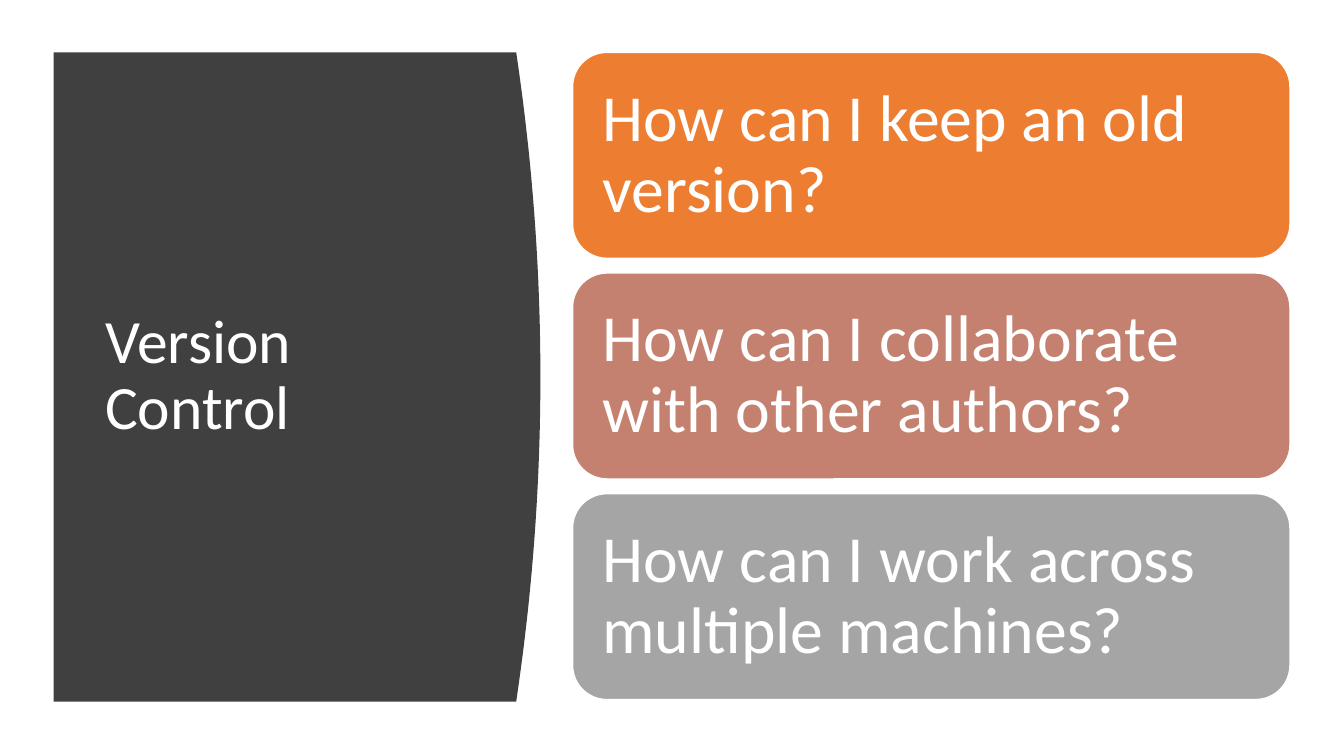
from pptx import Presentation
from pptx.dml.color import RGBColor
from pptx.enum.shapes import MSO_SHAPE
from pptx.enum.text import MSO_ANCHOR, PP_ALIGN
from pptx.util import Cm, Pt

HUES = {
    "panel": "404040",
    "white": "FFFFFF",
    "orange": "ED7D31",
    "rose": "C48170",
    "gray": "A5A5A5",
}

CARDS = [
    ("How can I keep an old version?", "orange"),
    ("How can I collaborate with other authors?", "rose"),
    ("How can I work across multiple machines?", "gray"),
]


def color(name):
    return RGBColor.from_string(HUES[name])


def write(shape, text, size=44, hue="white", inset=0.25, vert=0.13, after=0):
    frame = shape.text_frame
    frame.word_wrap = True
    frame.vertical_anchor = MSO_ANCHOR.MIDDLE
    frame.margin_left = frame.margin_right = Cm(inset)
    frame.margin_top = frame.margin_bottom = Cm(vert)
    para = frame.paragraphs[0]
    para.alignment = PP_ALIGN.LEFT
    para.line_spacing = 0.9
    para.space_after = Pt(after)
    run = para.add_run()
    run.text = text
    run.font.name = "Calibri"
    run.font.size = Pt(size)
    run.font.color.rgb = color(hue)


def paint(shape, hue):
    shape.shadow.inherit = False
    shape.fill.solid()
    shape.fill.fore_color.rgb = color(hue)


def panel(slide, left, top, width, height, bulge, steps=40):
    points = []
    for step in range(steps + 1):
        part = step / steps
        curve = 1 - (2 * part - 1) ** 2
        points.append((Cm(left + width + bulge * curve), Cm(top + height * part)))
    points.append((Cm(left), Cm(top + height)))
    pen = slide.shapes.build_freeform(Cm(left), Cm(top))
    pen.add_line_segments(points, close=True)
    shape = pen.convert_to_shape()
    paint(shape, "panel")
    shape.line.fill.background()


def title(slide, text, left, top, width, height):
    box = slide.shapes.add_textbox(Cm(left), Cm(top), Cm(width), Cm(height))
    write(box, text)


def card(slide, text, hue, left, top, width, height):
    shape = slide.shapes.add_shape(
        MSO_SHAPE.ROUNDED_RECTANGLE, Cm(left), Cm(top), Cm(width), Cm(height)
    )
    paint(shape, hue)
    shape.line.color.rgb = color("white")
    shape.line.width = Pt(1)
    write(shape, text, size=47, inset=0.5, vert=0.5)


def main():
    deck = Presentation()
    deck.slide_width = Cm(33.87)
    deck.slide_height = Cm(19.05)
    slide = deck.slides.add_slide(deck.slide_layouts[6])
    panel(slide, 1.35, 1.32, 11.66, 16.36, 0.61)
    title(slide, "Version Control", 2.4, 2.82, 9.5, 13.33)
    for row, (text, hue) in enumerate(CARDS):
        card(slide, text, hue, 14.43, 1.32 + row * 5.56, 18.08, 5.19)
    deck.save("out.pptx")


main()
